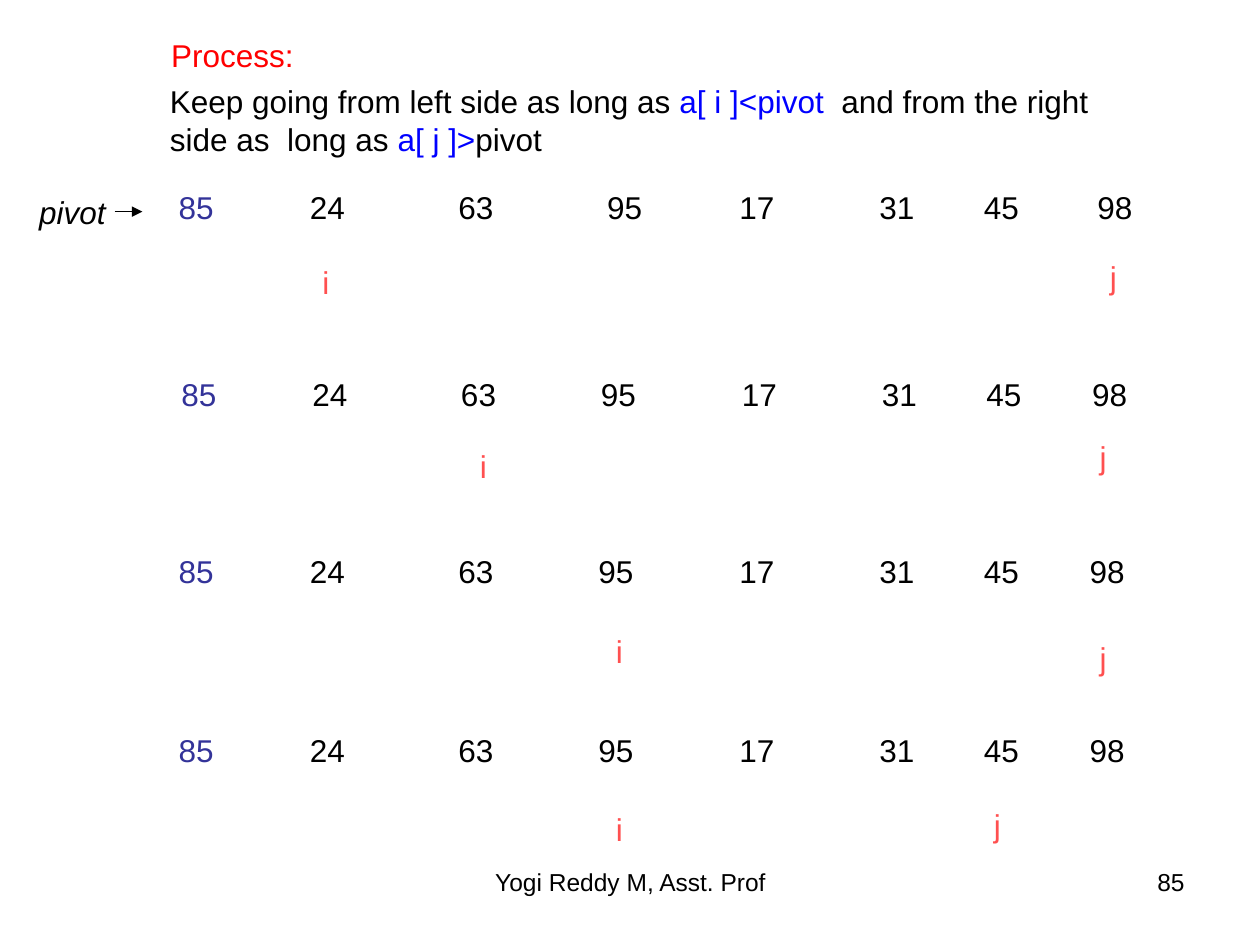
from dataclasses import dataclass

from lxml.etree import SubElement
from pptx import Presentation
from pptx.dml.color import RGBColor as Color
from pptx.enum.shapes import MSO_CONNECTOR as Connector, MSO_SHAPE as Shape
from pptx.enum.text import MSO_ANCHOR as Anchor, PP_ALIGN as Align
from pptx.oxml.ns import qn
from pptx.util import Inches, Pt


@dataclass(frozen=True)
class Theme:
    font: str = "Arial"
    body: int = 18
    footer: int = 14
    hairline: float = 0.75
    ink: str = "000000"
    paper: str = "FFFFFF"
    heading: str = "FF0000"
    code: str = "0000FF"
    pivot: str = "333399"
    marker: str = "FF5050"


THEME = Theme()

HEADING = "Process:"
RULE = [
    ("Keep going from left side as long as ", THEME.ink),
    ("a[ i ]<pivot", THEME.code),
    ("  and from the right side as  long as ", THEME.ink),
    ("a[ j ]>", THEME.code),
    ("pivot", THEME.ink),
]
VALUES = ["85", "24", "63", "95", "17", "31", "45", "98"]
WIDE_STOPS = [1.04, 2.22, 3.40, 4.45, 5.56, 6.39, 7.29]
STOPS = [1.04, 2.22, 3.33, 4.45, 5.56, 6.39, 7.23]

# Each step: left, top and height of the row, its tab stops,
# then left and top of the i and j markers
STEPS = [
    (1.32, 1.44, 0.4, WIDE_STOPS, {"i": (2.25, 2.04), "j": (8.5, 2.0)}),
    (1.34, 2.93, 0.4, STOPS, {"i": (3.5, 3.5), "j": (8.42, 3.43)}),
    (1.32, 4.33, 0.7, STOPS, {"i": (4.58, 4.97), "j": (8.42, 5.02)}),
    (1.32, 5.75, 0.7, STOPS, {"i": (4.58, 6.38), "j": (7.58, 6.35)}),
]
ROW_WIDTH = 7.91
MARKER_WIDTH, MARKER_HEIGHT, MARKER_INDENT = 0.67, 0.4, 0.21
PIVOT_BOX = (0.24, 1.56, 0.67, 0.24)
ARROW_END = 1.13
FOOTERS = [
    ("Yogi Reddy M, Asst. Prof", (3.42, 6.83, 3.17, 0.52), Align.CENTER),
    ("85", (7.17, 6.83, 2.33, 0.52), Align.RIGHT),
]


def add_runs(para, parts, size=THEME.body, italic=False):
    """Add one run for each (text, colour) pair."""
    for text, colour in parts:
        span = para.add_run()
        span.text = text
        span.font.name = THEME.font
        span.font.size = Pt(size)
        span.font.italic = italic
        span.font.color.rgb = Color.from_string(colour)


def add_text(page, place, parts, size=THEME.body, align=Align.LEFT):
    box = page.shapes.add_textbox(*map(Inches, place))
    box.text_frame.word_wrap = True
    para = box.text_frame.paragraphs[0]
    para.alignment = align
    add_runs(para, parts, size)
    return para


def set_tab_stops(para, stops):
    tabs = SubElement(para._p.get_or_add_pPr(), qn("a:tabLst"))
    for stop in stops:
        SubElement(tabs, qn("a:tab"), pos=str(Inches(stop)), algn="l")


def add_step(page, left, top, height, stops, markers):
    """Add one row of values with its i and j markers below."""
    first, *rest = VALUES
    parts = [(first, THEME.pivot)] + [("\t" + value, THEME.ink) for value in rest]
    row = add_text(page, (left, top, ROW_WIDTH, height), parts)
    set_tab_stops(row, stops)
    for name, place in markers.items():
        marker = add_text(page, (*place, MARKER_WIDTH, MARKER_HEIGHT),
                          [(name, THEME.marker)])
        properties = marker._p.get_or_add_pPr()
        properties.set("marL", str(Inches(MARKER_INDENT)))
        properties.set("indent", "0")


def add_pivot_label(page):
    box = page.shapes.add_shape(Shape.RECTANGLE, *map(Inches, PIVOT_BOX))
    box.shadow.inherit = False
    box.fill.solid()
    box.fill.fore_color.rgb = Color.from_string(THEME.paper)
    box.line.color.rgb = Color.from_string(THEME.paper)
    box.line.width = Pt(THEME.hairline)
    box.text_frame.word_wrap = False
    box.text_frame.vertical_anchor = Anchor.MIDDLE
    para = box.text_frame.paragraphs[0]
    para.alignment = Align.CENTER
    add_runs(para, [("pivot", THEME.ink)], italic=True)
    return box


def add_arrow(page, box, end):
    """Draw a level arrow from the right side of box to the x position end."""
    middle = box.top + box.height // 2
    arrow = page.shapes.add_connector(
        Connector.STRAIGHT, box.left + box.width, middle, Inches(end), middle)
    arrow.begin_connect(box, 3)
    arrow.line.color.rgb = Color.from_string(THEME.ink)
    arrow.line.width = Pt(THEME.hairline)
    SubElement(arrow.line._get_or_add_ln(), qn("a:tailEnd"), type="triangle")
    SubElement(arrow._element.spPr, qn("a:effectLst"))


def main():
    deck = Presentation()
    deck.slide_width, deck.slide_height = Inches(10), Inches(7.5)
    page = deck.slides.add_slide(deck.slide_layouts[6])

    add_text(page, (1.26, 0.24, 3.08, 0.4), [(HEADING, THEME.heading)])
    add_text(page, (1.25, 0.6, 7.58, 0.7), RULE)
    for step in STEPS:
        add_step(page, *step)
    add_arrow(page, add_pivot_label(page), ARROW_END)
    for text, place, align in FOOTERS:
        add_text(page, place, [(text, THEME.ink)], THEME.footer, align)

    deck.save("out.pptx")


if __name__ == "__main__":
    main()
